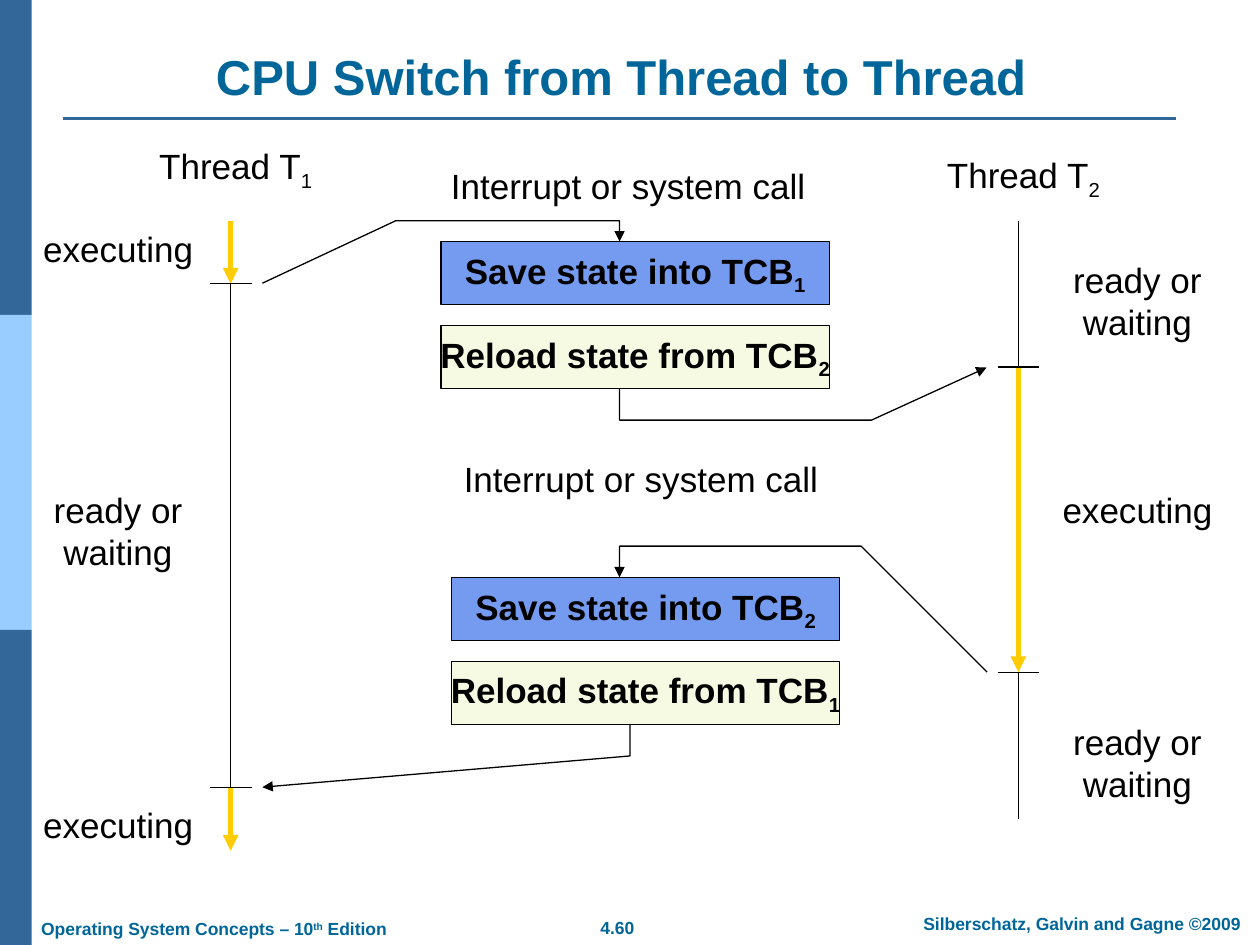
from lxml import etree
from pptx import Presentation
from pptx.dml.color import RGBColor
from pptx.enum import shapes, text
from pptx.oxml.ns import qn
from pptx.util import Cm, Pt

NAVY = RGBColor(0x33, 0x66, 0x99)
SKY = RGBColor(0x99, 0xCC, 0xFF)
TEAL = RGBColor(0x00, 0x66, 0x99)
GOLD = RGBColor(0xFF, 0xCC, 0x00)
BLUE = RGBColor(0x75, 0x9B, 0xF1)
CREAM = RGBColor(0xF6, 0xFA, 0xE2)
BLACK = RGBColor(0, 0, 0)
LEFT, CENTER = text.PP_ALIGN.LEFT, text.PP_ALIGN.CENTER
SUB, SUPER = -25000, 30000


def write(tf, lines, size=20, color=BLACK, bold=False, align=CENTER,
          anchor=text.MSO_ANCHOR.TOP, wrap=False):
    tf.word_wrap = wrap
    tf.vertical_anchor = anchor
    for i, runs in enumerate(lines):
        p = tf.add_paragraph() if i else tf.paragraphs[0]
        p.alignment = align
        p.font.name, p.font.size, p.font.bold = "Arial", Pt(size), bold
        p.font.color.rgb = color
        for words, baseline in runs:
            r = p.add_run()
            r.text = words
            if baseline:
                r._r.get_or_add_rPr().set("baseline", str(baseline))


def label(s, x, y, w, h, lines, **style):
    box = s.shapes.add_textbox(Cm(x), Cm(y), Cm(w), Cm(h))
    write(box.text_frame, lines, **style)


def rect(s, x, y, w, h, fill, line=None):
    sp = s.shapes.add_shape(shapes.MSO_SHAPE.RECTANGLE, Cm(x), Cm(y), Cm(w), Cm(h))
    sp.shadow.inherit = False
    sp.fill.solid()
    sp.fill.fore_color.rgb = fill
    if line is None:
        sp.line.fill.background()
    else:
        sp.line.color.rgb = line
        sp.line.width = Pt(0.75)
    return sp


def stroke(shape, color, width, arrow):
    shape.line.color.rgb = color
    shape.line.width = Pt(width)
    if arrow:
        etree.SubElement(shape.line._get_or_add_ln(), qn("a:tailEnd"), type="triangle")


def line(s, x1, y1, x2, y2, color=BLACK, width=0.75, arrow=False):
    c = s.shapes.add_connector(shapes.MSO_CONNECTOR.STRAIGHT,
                               Cm(x1), Cm(y1), Cm(x2), Cm(y2))
    stroke(c, color, width, arrow)
    etree.SubElement(c._element.spPr, qn("a:effectLst"))


def route(s, x, y, points):
    start, *rest = [(Cm(x + dx), Cm(y + dy)) for dx, dy in points]
    fb = s.shapes.build_freeform(*start)
    fb.add_line_segments(rest, close=False)
    sp = fb.convert_to_shape()
    sp.shadow.inherit = False
    sp.fill.background()
    stroke(sp, BLACK, 0.75, True)


def sidebar(s, x, y, w, h):
    for i, color in enumerate((NAVY, SKY, NAVY)):
        rect(s, x, y + i * h / 3, w, h / 3, color)


def header(s, x, y, w, h):
    label(s, x + 1.72, y, w - 3.37, h - 0.15,
          [[("CPU Switch from Thread to Thread", 0)]], size=28, color=TEAL,
          bold=True, anchor=text.MSO_ANCHOR.BOTTOM, wrap=True)
    line(s, x, y + h, x + w, y + h, NAVY, 1.5)


def footer(s, x, y, w, h):
    style = dict(size=10, color=TEAL, bold=True)
    label(s, x, y + 0.1, 7.47, h,
          [[("Operating System Concepts – 10", 0), ("th", SUPER), (" Edition", 0)]],
          align=LEFT, **style)
    label(s, x + 10.62, y + 0.07, 2.49, h, [[("4.60", 0)]], **style)
    label(s, x + w - 7.54, y, 7.54, h,
          [[("Silberschatz, Galvin and Gagne ©2009", 0)]], wrap=True, **style)


def timeline(s, x, y, number, title_dy, label_dx, segments):
    label(s, x - 1.69, y + title_dy, 3.61, 1.22,
          [[("Thread T", 0), (number, SUB)]], align=LEFT)
    top = y
    for i, (running, length, label_dy) in enumerate(segments):
        if running:
            line(s, x, top, x, top + length, GOLD, 3, True)
            label(s, x + label_dx - 1.76, y + label_dy, 3.53, 1.12,
                  [[("executing", 0)]], align=LEFT)
        else:
            line(s, x, top, x, top + length)
            label(s, x + label_dx - 1.55, y + label_dy, 3.1, 1.96,
                  [[("ready or", 0)], [("waiting", 0)]])
        if i:
            line(s, x - 0.42, top, x + 0.42, top)
        top += length


def switch(s, x, y, w, h, saved, loaded, caption, entry, leave):
    steps = (("Save state into TCB", saved, BLUE),
             ("Reload state from TCB", loaded, CREAM))
    box_h = 1.27
    for i, (words, number, fill) in enumerate(steps):
        sp = rect(s, x, y + i * (h - box_h), w, box_h, fill, BLACK)
        write(sp.text_frame, [[(words, 0), (number, SUB)]], bold=True,
              anchor=text.MSO_ANCHOR.MIDDLE)
    dx, dy = caption
    label(s, x + dx, y + dy, 7.65, 1.12,
          [[("Interrupt or system call", 0)]], align=LEFT)
    route(s, x, y, entry)
    route(s, x, y, leave)


def main():
    prs = Presentation()
    prs.slide_width, prs.slide_height = Cm(25.4), Cm(19.05)
    s = prs.slides.add_slide(prs.slide_layouts[6])
    sidebar(s, 0, 0, 0.64, 19.05)
    header(s, 1.27, 0, 22.43, 2.39)
    footer(s, 0.58, 18.29, 25, 0.69)
    timeline(s, 4.65, 4.45, "1", -1.66, -2.27,
             [(True, 1.27, 0.02), (False, 10.16, 5.28), (True, 1.27, 11.63)])
    timeline(s, 20.53, 4.45, "2", -1.48, 2.4,
             [(False, 2.95, 0.63), (True, 6.15, 5.28), (False, 2.96, 9.95)])
    switch(s, 8.89, 4.87, 7.83, 2.96, "1", "2", (-0.05, -1.67),
           [(-3.6, 0.84), (-0.91, -0.42), (3.6, -0.42), (3.6, 0)],
           [(3.6, 2.96), (3.6, 3.6), (8.68, 3.6), (11, 2.54)])
    switch(s, 9.1, 11.64, 7.83, 2.96, "2", "1", (0, -2.54),
           [(10.8, 1.91), (8.26, -0.63), (3.39, -0.63), (3.39, 0)],
           [(3.6, 2.96), (3.6, 3.6), (-3.81, 4.23)])
    prs.save("out.pptx")


if __name__ == "__main__":
    main()
